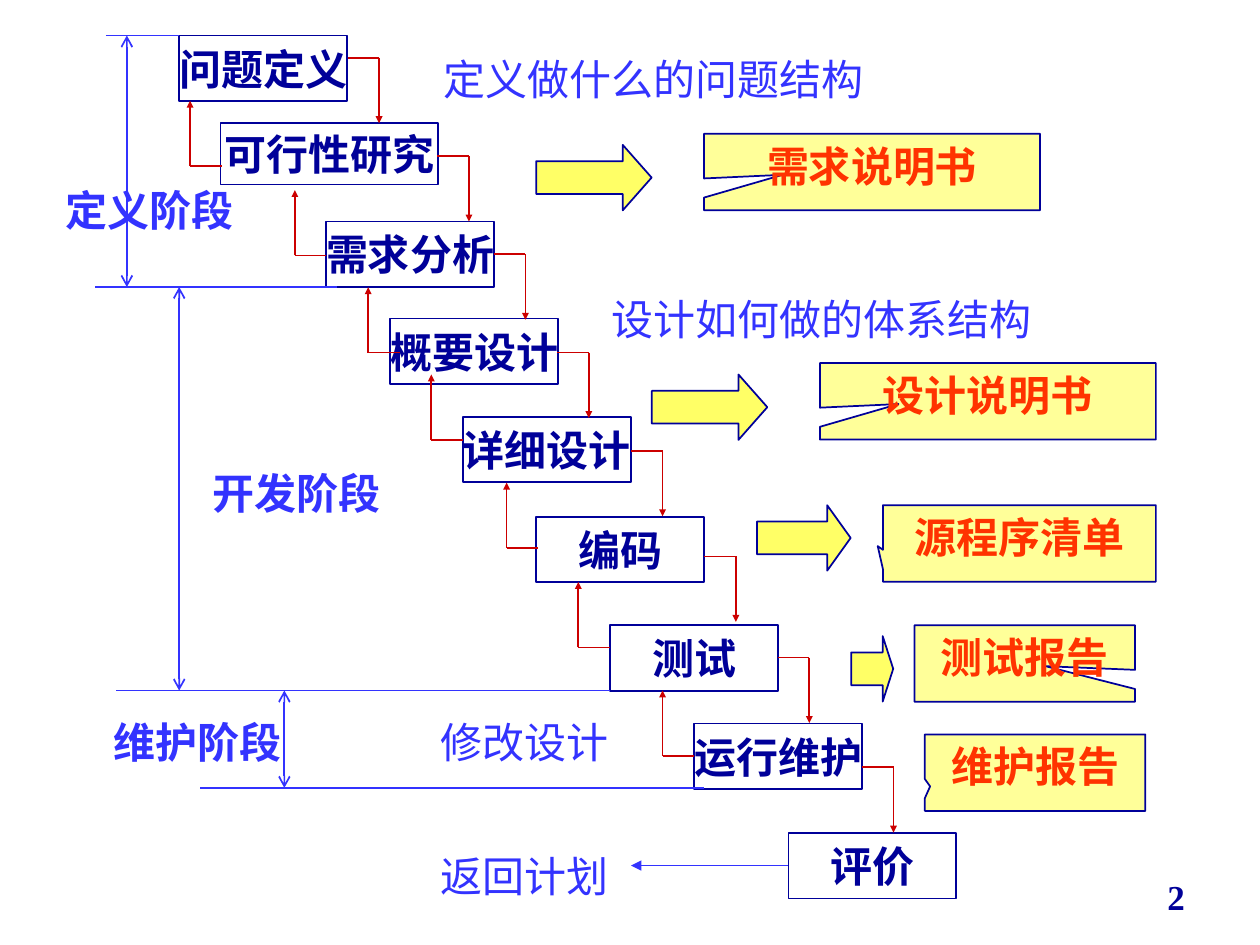
from pptx import Presentation
from pptx.dml.color import RGBColor
from pptx.enum.shapes import MSO_CONNECTOR, MSO_SHAPE
from pptx.enum.text import MSO_ANCHOR as Anchor, MSO_AUTO_SIZE as AutoSize, PP_ALIGN as Align
from pptx.oxml.ns import qn
from pptx.util import Pt
from lxml.etree import SubElement

COLORS = {"navy": "000099", "blue": "3333FF", "red": "CC0000", "orange": "FF3300",
          "white": "FFFFFF", "cream": "FFFF99", "yellow": "FFFF66"}


def write(shape, text, color="navy", size=24, bold=True, align=Align.CENTER,
          anchor=Anchor.TOP, margins=(7.2, 3.6), wrap=True, auto_size=AutoSize.NONE):
    frame = shape.text_frame
    frame.auto_size = auto_size
    frame.word_wrap = wrap
    frame.vertical_anchor = anchor
    frame.margin_left = frame.margin_right = Pt(margins[0])
    frame.margin_top = frame.margin_bottom = Pt(margins[1])
    paragraph = frame.paragraphs[0]
    paragraph.alignment = align
    run = paragraph.add_run()
    run.text = text
    run.font.name = "Times New Roman"
    run.font.size = Pt(size)
    run.font.bold = bold
    run.font.color.rgb = RGBColor.from_string(COLORS[color])


def connect(x1, y1, x2, y2, color, head=None, tail=None, tip="med"):
    line = slide.shapes.add_connector(MSO_CONNECTOR.STRAIGHT, Pt(x1), Pt(y1), Pt(x2), Pt(y2))
    line.line.width = Pt(1)
    line.line.color.rgb = RGBColor.from_string(COLORS[color])
    outline = line.line._get_or_add_ln()
    for end, kind in (("a:headEnd", head), ("a:tailEnd", tail)):
        if kind:
            SubElement(outline, qn(end), type=kind, w=tip, len=tip)
    SubElement(line._element.spPr, qn("a:effectLst"))


prs = Presentation()
prs.slide_width, prs.slide_height = Pt(720), Pt(540)
slide = prs.slides.add_slide(prs.slide_layouts[6])

RECT, CALLOUT, ARROW = MSO_SHAPE.RECTANGLE, MSO_SHAPE.RECTANGULAR_CALLOUT, MSO_SHAPE.RIGHT_ARROW
steps = [
    ("问题定义", 102.3, 20.3, 96, 37.4),
    ("可行性研究", 126, 70.4, 124.5, 35),
    ("需求分析", 186.3, 126.5, 96, 37.4),
    ("概要设计", 223, 182, 96, 37.4),
    ("详细设计", 264.5, 238.2, 96, 37.4),
    ("编码", 306.4, 295.4, 96, 37.4),
    ("测试", 348.7, 357.3, 96, 37.4),
    ("运行维护", 396.7, 413.4, 96, 37.4),
    ("评价", 450.5, 476, 96, 37.4),
]
documents = [
    ("需求说明书", 402.3, 76.5, 192, (-0.266, 0.036)),
    ("设计说明书", 468.5, 207.5, 192, (-0.266, 0.036)),
    ("源程序清单", 504.5, 288.7, 156, (-0.519, 0.036)),
    ("测试报告", 522.6, 357.3, 126, (0.095, 0.036)),
    ("维护报告", 528.5, 419.7, 126, (-0.476, 0.179)),
]
output_arrows = [
    (306.4, 82.8, 66, 0.441),
    (372.5, 214, 66, 0.441),
    (432.6, 288.7, 53.5, 0.358),
    (486.4, 363.5, 24, 0.25),
]
outlined = [(RECT, "white", text, box, ()) for text, *box in steps]
outlined += [(CALLOUT, "cream", text, (x, y, w, 43.7), tip) for text, x, y, w, tip in documents]
outlined += [(ARROW, "yellow", "", (x, y, w, 37.4), (0.5, tip)) for x, y, w, tip in output_arrows]

for preset, fill, text, box, adjustments in outlined:
    shape = slide.shapes.add_shape(preset, *map(Pt, box))
    shape.shadow.inherit = False
    shape.fill.solid()
    shape.fill.fore_color.rgb = RGBColor.from_string(COLORS[fill])
    shape.line.color.rgb = RGBColor.from_string(COLORS["navy"])
    shape.line.width = Pt(1)
    for index, value in enumerate(adjustments):
        shape.adjustments[index] = value
    if preset == RECT:
        write(shape, text, anchor=Anchor.MIDDLE, margins=(1.4, 0), wrap=False)
    elif preset == CALLOUT:
        write(shape, text, color="orange")

RUN, RISE = 18, 37.4
forward_starts = [(198.6, 33), (250, 89.2), (282.3, 145.3), (318.5, 201.5),
                  (360.6, 257.6), (402.5, 318), (444.5, 375.8), (492.6, 438.4)]
for x, y in forward_starts:
    connect(x, y, x + RUN, y, "red")
    connect(x + RUN, y, x + RUN, y + RISE, "red", tail="triangle", tip="sm")

feedback_corners = [(108.6, 95), (168.5, 146), (210.4, 201.5), (246.5, 251.4),
                    (289.5, 313.2), (330.5, 370), (378.6, 432)]
for x, y in feedback_corners:
    connect(x, y, x + RUN, y, "red")
    connect(x, y, x, y - RISE, "red", tail="triangle", tip="sm")

START, DEFINED, DEVELOPED, MAINTAINED = 20.3, 164, 394.6, 450.2
for left, right, y in [(60.5, 102.3, START), (54.5, 192.4, DEFINED),
                       (66.5, 348.6, DEVELOPED), (114.5, 402.4, MAINTAINED)]:
    connect(left, y, right, y, "blue")
for x, top, bottom in [(72.5, START, DEFINED), (102.4, DEFINED, DEVELOPED),
                       (162.5, DEVELOPED, MAINTAINED)]:
    connect(x, top, x, bottom, "blue", head="arrow", tail="arrow")
connect(360.6, 494.6, 450.5, 494.6, "blue", head="triangle")

labels = [
    ("定义阶段", 30.3, 101.7, 112.3, True),
    ("开发阶段", 114.5, 263.8, 119, True),
    ("维护阶段", 57.6, 406, 112.3, True),
    ("定义做什么的问题结构", 246.4, 26.8, 270.7, False),
    ("设计如何做的体系结构", 342.4, 164, 282.2, False),
    ("修改设计", 244.8, 406, 141.8, False),
    ("返回计划", 244.8, 482.4, 116, False),
]
for text, x, y, width, bold in labels:
    label = slide.shapes.add_textbox(Pt(x), Pt(y), Pt(width), Pt(36))
    write(label, text, color="blue", bold=bold, align=Align.LEFT,
          auto_size=AutoSize.SHAPE_TO_FIT_TEXT)

page_number = slide.shapes.add_textbox(Pt(516.2), Pt(491.8), Pt(168), Pt(36))
write(page_number, "2", size=20, align=Align.RIGHT, anchor=Anchor.BOTTOM)

prs.save("out.pptx")
